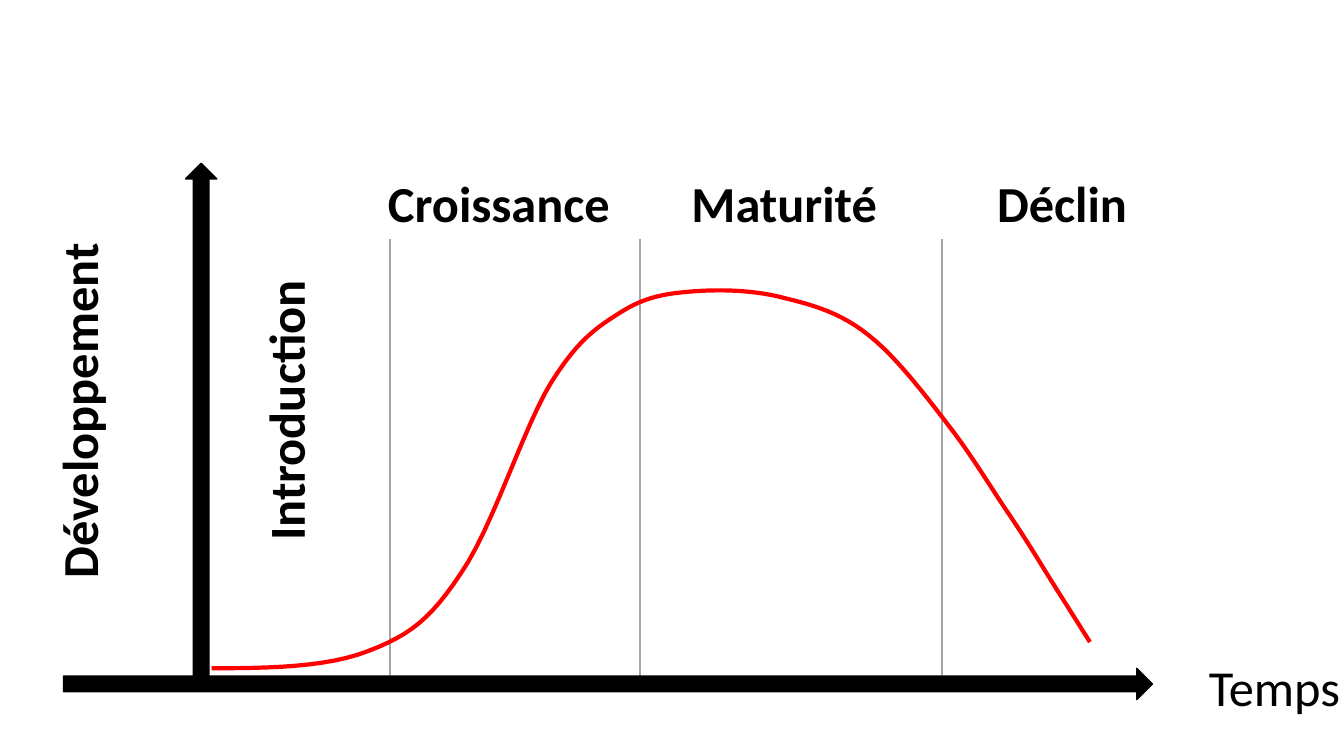
from lxml import etree
from pptx import Presentation
from pptx.dml.color import RGBColor
from pptx.enum.shapes import MSO_CONNECTOR as CONN, MSO_SHAPE as SHAPE
from pptx.enum.text import MSO_AUTO_SIZE as AUTO
from pptx.oxml.ns import qn
from pptx.util import Inches, Pt

COLORS = {"axis": "000000", "curve": "FF0000", "divider": "A5A5A5", "text": "000000"}
STEPS = 12


def rgb(name):
    return RGBColor.from_string(COLORS[name])


def bezier(points, t):
    weights = ((1 - t) ** 3, 3 * t * (1 - t) ** 2, 3 * t ** 2 * (1 - t), t ** 3)
    return tuple(Inches(sum(w * p[i] for w, p in zip(weights, points))) for i in (0, 1))


prs = Presentation()
prs.slide_width, prs.slide_height = Inches(13.33), Inches(7.5)
s = prs.slides.add_slide(prs.slide_layouts[6])

for x in (3.87, 6.35, 9.34):
    divider = s.shapes.add_connector(CONN.STRAIGHT, Inches(x), Inches(2.37), Inches(x), Inches(6.79))
    divider.line.color.rgb = rgb("divider")
    divider.line.width = Pt(1.5)
    etree.SubElement(divider._element.spPr, qn("a:effectLst"))

axes = []
for x, y, length, angle in ((-0.59, 4.05, 5.17, 270), (0.63, 6.63, 10.8, 0)):
    axis = s.shapes.add_shape(SHAPE.RIGHT_ARROW, Inches(x), Inches(y), Inches(length), Inches(0.31))
    axis.rotation = angle
    axis.shadow.inherit = False
    axis.fill.solid()
    axis.fill.fore_color.rgb = rgb("axis")
    axis.line.color.rgb = rgb("axis")
    axis.line.width = Pt(1)
    axes.append(axis)

knots = [
    (2.1, 6.63), (2.67, 6.63), (3.24, 6.62), (3.65, 6.46),
    (4.07, 6.3), (4.27, 6.14), (4.57, 5.69),
    (4.88, 5.25), (5.2, 4.22), (5.47, 3.79),
    (5.74, 3.36), (5.93, 3.24), (6.17, 3.09),
    (6.41, 2.94), (6.62, 2.91), (6.89, 2.89),
    (7.16, 2.87), (7.5, 2.88), (7.79, 2.96),
    (8.08, 3.03), (8.35, 3.11), (8.62, 3.33),
    (8.89, 3.54), (9.2, 3.95), (9.43, 4.25),
    (9.66, 4.55), (9.86, 4.89), (10.02, 5.12),
    (10.18, 5.36), (10.24, 5.46), (10.37, 5.67),
    (10.5, 5.88), (10.66, 6.13), (10.81, 6.37),
]
curve_points = [
    bezier(knots[i:i + 4], step / STEPS)
    for i in range(0, len(knots) - 1, 3)
    for step in range(1, STEPS + 1)
]
builder = s.shapes.build_freeform(Inches(knots[0][0]), Inches(knots[0][1]))
builder.add_line_segments(curve_points, close=False)
curve = builder.convert_to_shape()
curve.shadow.inherit = False
curve.fill.background()
curve.line.color.rgb = rgb("curve")
curve.line.width = Pt(3)

labels = [
    ("Développement", -1, 3.7, 3.56, 270, True),
    ("Introduction", 1.42, 3.7, 2.82, 270, True),
    ("Croissance", 3.75, 1.66, 2.43, 0, True),
    ("Maturité", 6.76, 1.66, 2.06, 0, True),
    ("Déclin", 9.79, 1.66, 1.51, 0, True),
    ("Temps", 11.89, 6.46, 1.52, 0, False),
]
for text, x, y, width, angle, bold in labels:
    label = s.shapes.add_textbox(Inches(x), Inches(y), Inches(width), Inches(0.71))
    label.rotation = angle
    tf = label.text_frame
    tf.word_wrap = False
    tf.auto_size = AUTO.SHAPE_TO_FIT_TEXT
    r = tf.paragraphs[0].add_run()
    r.text = text
    r.font.name = "Calibri"
    r.font.size = Pt(36)
    r.font.bold = bold
    r.font.color.rgb = rgb("text")

prs.save("out.pptx")
